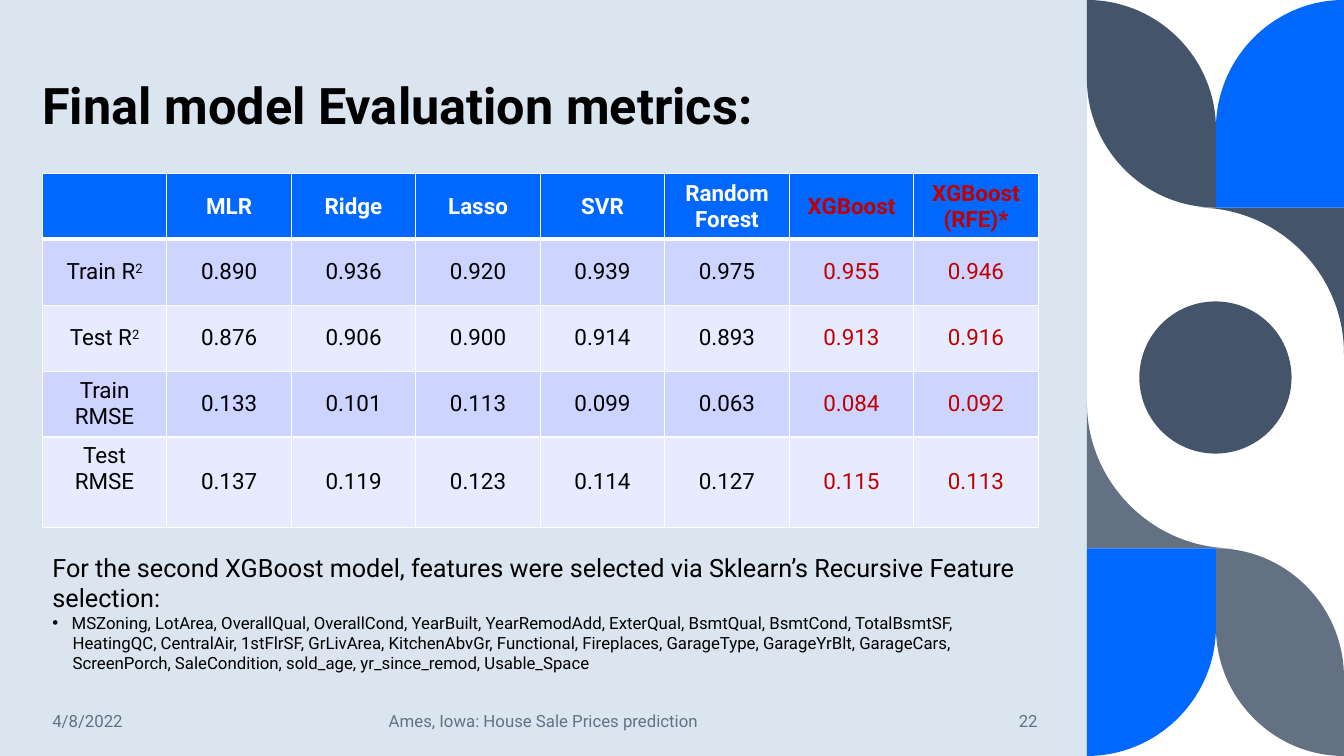
from lxml import etree
from pptx import Presentation
from pptx.dml.color import RGBColor
from pptx.enum.shapes import MSO_SHAPE as Shape
from pptx.enum.text import MSO_ANCHOR as Anchor, MSO_AUTO_SIZE as AutoSize, PP_ALIGN as Align
from pptx.oxml.ns import qn
from pptx.util import Inches, Pt

COLORS = {
    "panel": "DAE5EF", "slate": "44546A", "gray": "637183", "blue": "0068FF",
    "black": "000000", "white": "FFFFFF", "red": "C00000",
    "band_dark": "CCD4FF", "band_light": "E7EBFF",
}
FONT = "Roboto"
WIDTH, HEIGHT = 13.33, 7.5

TITLE = "Final model Evaluation metrics:"
METRICS = [
    ["", "MLR", "Ridge", "Lasso", "SVR", "Random Forest", "XGBoost", "XGBoost (RFE)*"],
    ["Train R²", "0.890", "0.936", "0.920", "0.939", "0.975", "0.955", "0.946"],
    ["Test R²", "0.876", "0.906", "0.900", "0.914", "0.893", "0.913", "0.916"],
    ["Train RMSE", "0.133", "0.101", "0.113", "0.099", "0.063", "0.084", "0.092"],
    ["Test RMSE", "0.137", "0.119", "0.123", "0.114", "0.127", "0.115", "0.113"],
]
FIRST_RED_COLUMN = 6

INTRO = ("For the second XGBoost model, features were selected via "
         "Sklearn’s Recursive Feature selection:")
FEATURES = [
    "MSZoning, LotArea, OverallQual, OverallCond, YearBuilt, YearRemodAdd, ExterQual, "
    "BsmtQual, BsmtCond, TotalBsmtSF,",
    "HeatingQC, CentralAir, 1stFlrSF, GrLivArea, KitchenAbvGr, Functional, Fireplaces, "
    "GarageType, GarageYrBlt, GarageCars,",
    "ScreenPorch, SaleCondition, sold_age, yr_since_remod, Usable_Space",
]
FOOTERS = [
    ("4/8/2022", 0.42, 1.72, Align.LEFT),
    ("Ames, Iowa: House Sale Prices prediction", 3.14, 4.5, Align.CENTER),
    ("22", 9.11, 1.28, Align.RIGHT),
]

# Edges of the decorative strip: two columns of petals at its top and bottom
LEFT, MIDDLE = 10.78, 12.06
UPPER, LOWER = 2.06, 5.44
PETAL, SWEEP = 1.28, 1.45
CURVE = True
ROUNDNESS = 0.55  # control point distance for a quarter circle


def leaf(left, top, right, bottom):
    return [(left, top), (right, top + PETAL, CURVE),
            (right, bottom), (left, bottom - PETAL, CURVE)]


# A point marked CURVE is reached by a quarter arc that sets off horizontally
OUTLINES = [
    ("slate", leaf(LEFT, 0, MIDDLE, UPPER)),
    ("slate", [(WIDTH, UPPER), (WIDTH - SWEEP, UPPER), (WIDTH, UPPER + SWEEP, CURVE)]),
    ("blue", [(MIDDLE, UPPER), (WIDTH, UPPER), (WIDTH, 0), (MIDDLE, PETAL, CURVE)]),
    ("gray", leaf(MIDDLE, LOWER, WIDTH, HEIGHT)),
    ("gray", [(LEFT, LOWER), (LEFT + SWEEP, LOWER), (LEFT, LOWER - SWEEP, CURVE)]),
    ("blue", [(MIDDLE, LOWER), (LEFT, LOWER), (LEFT, HEIGHT), (MIDDLE, HEIGHT - PETAL, CURVE)]),
]


def rgb(name):
    return RGBColor.from_string(COLORS[name])


def paint(shape, color):
    shape.shadow.inherit = False
    shape.fill.solid()
    shape.fill.fore_color.rgb = rgb(color)
    shape.line.fill.background()


def place(shape, left, top, width, height):
    box = {"left": left, "top": top, "width": width, "height": height}
    for name, value in box.items():
        setattr(shape, name, Inches(value))


def write(para, text, size, color="black", bold=False):
    span = para.add_run()
    span.text = text
    for name, value in {"name": FONT, "size": Pt(size), "bold": bold}.items():
        setattr(span.font, name, value)
    span.font.color.rgb = rgb(color)
    return span


def bend(segment, start, end):
    """Turn a straight segment into a quarter arc."""
    (x0, y0), (x1, y1) = start, end
    segment.tag = qn("a:cubicBezTo")
    controls = [(x0 + ROUNDNESS * (x1 - x0), y0), (x1, y1 + ROUNDNESS * (y0 - y1))]
    for index, (x, y) in enumerate(controls):
        point = etree.Element(qn("a:pt"), x=str(round(x)), y=str(round(y)))
        segment.insert(index, point)


def add_outline(page, color, outline):
    corners = [(Inches(part[0]), Inches(part[1])) for part in outline]
    builder = page.shapes.build_freeform(*corners[0], scale=1.0)
    builder.add_line_segments(corners[1:], close=True)
    shape = builder.convert_to_shape()
    paint(shape, color)
    points = list(shape._element.iter(qn("a:pt")))
    places = [(int(point.get("x")), int(point.get("y"))) for point in points]
    for index, part in enumerate(outline):
        if CURVE in part[2:]:
            bend(points[index].getparent(), places[index - 1], places[index])


def add_strip(page):
    panel = page.shapes.add_shape(Shape.RECTANGLE, 0, 0, Inches(LEFT), Inches(HEIGHT))
    paint(panel, "panel")
    page.shapes._spTree.insert(2, panel._element)  # behind the placeholders
    for color, outline in OUTLINES:
        add_outline(page, color, outline)
    circle = page.shapes.add_shape(
        Shape.OVAL, Inches(11.3), Inches(2.99), Inches(1.51), Inches(1.51))
    paint(circle, "slate")


def add_borders(cell, row):
    thick = {0: "lnB", 1: "lnT"}.get(row)
    properties = cell._tc.get_or_add_tcPr()
    for side in ("lnL", "lnR", "lnT", "lnB"):
        width = Pt(3 if side == thick else 1)
        line = etree.SubElement(properties, qn(f"a:{side}"), w=str(width))
        fill = etree.SubElement(line, qn("a:solidFill"))
        etree.SubElement(fill, qn("a:srgbClr"), val=COLORS["white"])


def add_metrics(page):
    frame = page.shapes.add_table(
        len(METRICS), len(METRICS[0]), Inches(0.42), Inches(1.72), Inches(9.88), Inches(3.27))
    table = frame.table
    for row, values in enumerate(METRICS):
        band = "blue" if row == 0 else "band_dark" if row % 2 else "band_light"
        for column, value in enumerate(values):
            cell = table.cell(row, column)
            add_borders(cell, row)
            cell.fill.solid()
            cell.fill.fore_color.rgb = rgb(band)
            cell.vertical_anchor = Anchor.MIDDLE
            para = cell.text_frame.paragraphs[0]
            para.alignment = Align.CENTER
            color = "red" if column >= FIRST_RED_COLUMN else "black" if row else "white"
            if value:
                write(para, value.rstrip("²"), 16, color, row == 0)
            if value.endswith("²"):
                power = write(para, "2", 16, color)
                power.font._element.set("baseline", "30000")
    # Room for one more line makes the last row taller
    table.cell(len(METRICS) - 1, 0).margin_bottom = Inches(0.31)


def set_bullet(para, indent, hanging, bullet):
    properties = para._p.get_or_add_pPr()
    properties.set("marL", str(Inches(indent)))
    properties.set("indent", str(-Inches(hanging)))
    if bullet:
        etree.SubElement(properties, qn("a:buFont"), typeface="Arial")
        etree.SubElement(properties, qn("a:buChar"), char=bullet)
    else:
        etree.SubElement(properties, qn("a:buNone"))


def fill_title(title):
    place(title, 0.42, 0.65, 9.97, 0.74)
    frame = title.text_frame
    settings = {"margin_left": 0, "vertical_anchor": Anchor.BOTTOM,
                "auto_size": AutoSize.NONE, "word_wrap": True}
    for name, value in settings.items():
        setattr(frame, name, value)
    para = frame.paragraphs[0]
    para.alignment = Align.LEFT
    para.line_spacing = 0.9
    write(para, TITLE, 36, bold=True)


def fill_body(body):
    place(body, 0.42, 5.43, 9.88, 1.31)
    frame = body.text_frame
    frame.auto_size = AutoSize.SHAPE_TO_FIT_TEXT
    lines = [(INTRO, 18, 0, 0, None), (FEATURES[0], 12, 0.19, 0.19, "•")]
    lines += [(text, 12, 0.2, 0, None) for text in FEATURES[1:]]
    for number, (text, size, indent, hanging, bullet) in enumerate(lines):
        para = frame.add_paragraph() if number else frame.paragraphs[0]
        para.space_before = Pt(0)
        set_bullet(para, indent, hanging, bullet)
        write(para, text, size)


def add_footers(page):
    for text, left, width, alignment in FOOTERS:
        box = page.shapes.add_textbox(Inches(left), Inches(6.95), Inches(width), Inches(0.4))
        box.text_frame.word_wrap = True
        box.text_frame.vertical_anchor = Anchor.MIDDLE
        para = box.text_frame.paragraphs[0]
        para.alignment = alignment
        write(para, text, 12, "gray")


def main():
    deck = Presentation()
    deck.slide_width, deck.slide_height = Inches(WIDTH), Inches(HEIGHT)
    page = deck.slides.add_slide(deck.slide_layouts[1])
    add_strip(page)
    fill_title(page.shapes.title)
    add_footers(page)
    add_metrics(page)
    fill_body(page.placeholders[1])
    deck.save("out.pptx")


if __name__ == "__main__":
    main()
